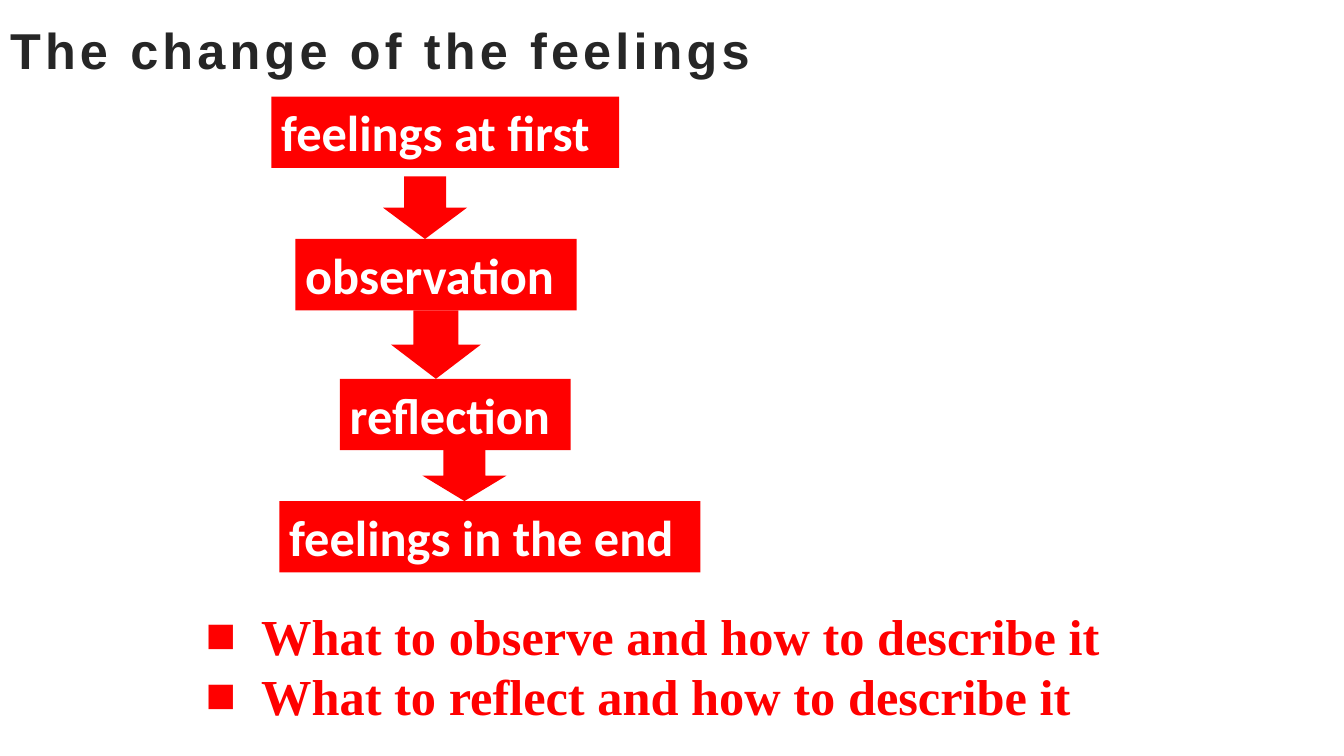
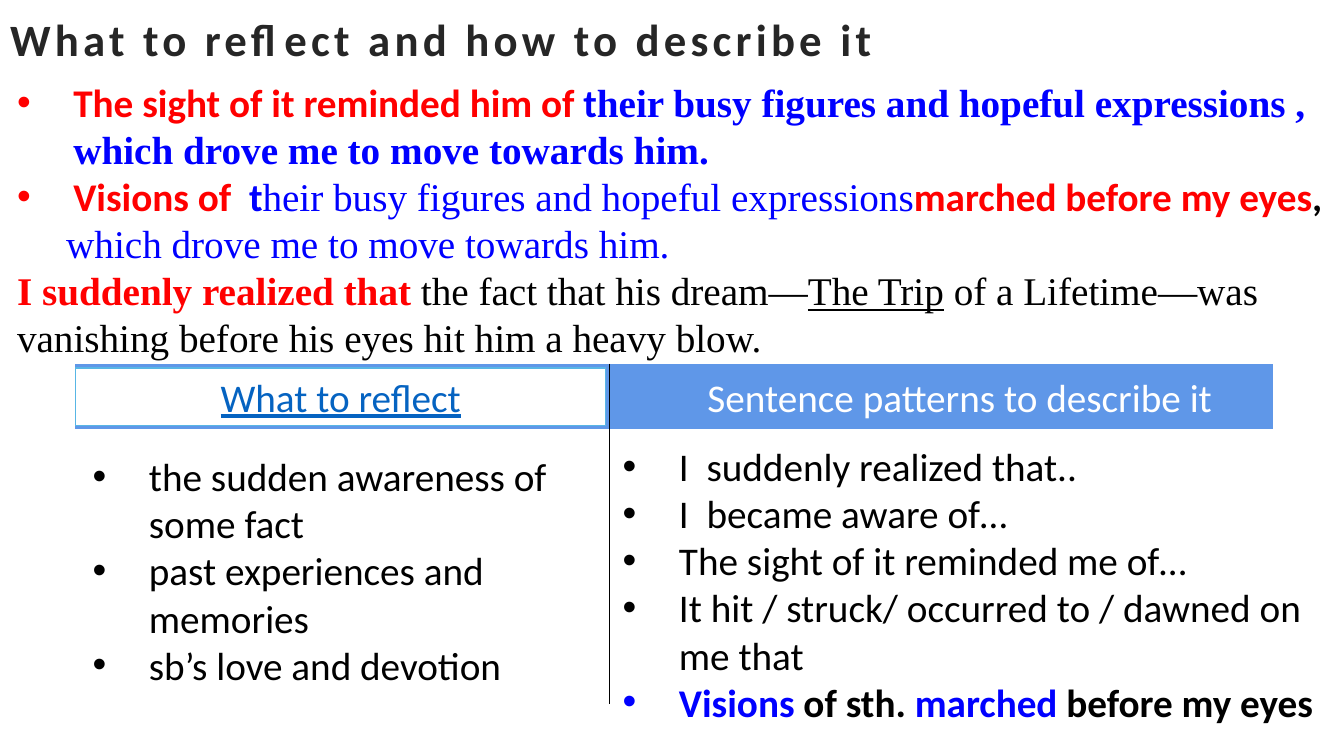
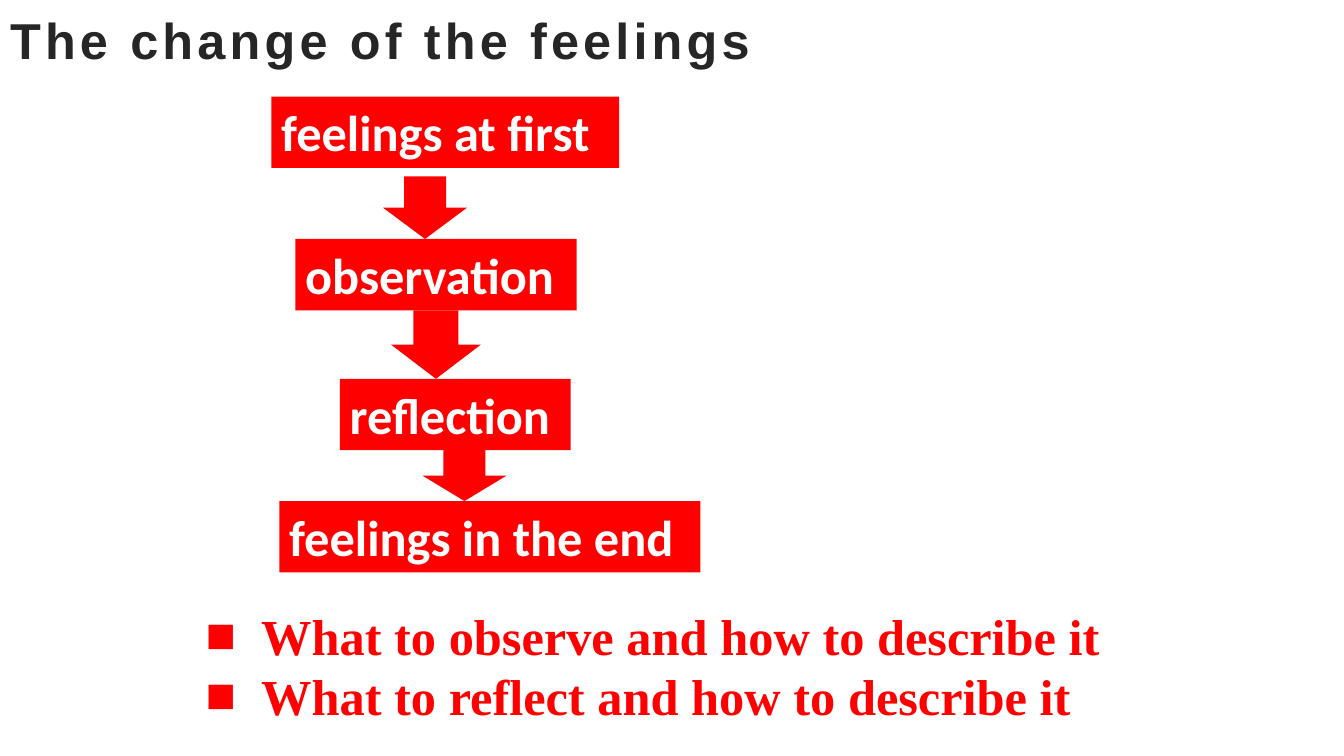
from collections import namedtuple

from lxml import etree
from pptx import Presentation
from pptx.dml.color import RGBColor
from pptx.enum.shapes import MSO_SHAPE
from pptx.enum.text import MSO_ANCHOR, MSO_AUTO_SIZE, PP_ALIGN
from pptx.oxml.ns import qn
from pptx.util import Inches, Pt

RECTANGLE, DOWN_ARROW = MSO_SHAPE.RECTANGLE, MSO_SHAPE.DOWN_ARROW
LEFT, CENTER, RIGHT = PP_ALIGN.LEFT, PP_ALIGN.CENTER, PP_ALIGN.RIGHT
TOP, MIDDLE = MSO_ANCHOR.TOP, MSO_ANCHOR.MIDDLE
NO_AUTOFIT = MSO_AUTO_SIZE.NONE

COLORS = {
    "title": "262626", "red": "FF0000", "blue": "0000FF", "black": "000000",
    "white": "FFFFFF", "header": "5F97E8", "frame": "58B6E5", "link": "0563C1",
}
ARIAL, CALIBRI, TIMES = "Arial", "Calibri", "Times New Roman"
COLUMNS, ROWS = 32, 18
NO_TABLE_STYLE = "{2D5ABB26-0587-4C30-8999-92F81FD0307C}"
HANGING = 1.34

Run = namedtuple("Run", "text font color bold underline", defaults=(CALIBRI, "black", False, False))
# indent and first are in grid columns
Para = namedtuple("Para", "runs bullet indent first", defaults=("", 0, 0))


def bulleted(*runs):
    return Para(runs, "•", HANGING, -HANGING)


def rgb(color):
    return RGBColor.from_string(COLORS[color])


class Deck:
    """Style of the deck and the slide being filled; lengths are grid columns and rows."""

    def __init__(self):
        self.prs = Presentation()
        self.prs.slide_width, self.prs.slide_height = Inches(13.33), Inches(7.5)
        self.slide = None

    def x(self, columns):
        return round(self.prs.slide_width * columns / COLUMNS)

    def y(self, rows):
        return round(self.prs.slide_height * rows / ROWS)

    def box(self, left, top, width, height):
        return self.x(left), self.y(top), self.x(width), self.y(height)

    def start(self, heading, font, size, top=0):
        self.slide = self.prs.slides.add_slide(self.prs.slide_layouts[5])
        title = self.slide.shapes.title
        title.left, title.top, title.width, title.height = self.box(0, top, 28.8, 1.85)
        self.set_text(title, [Para([Run(heading, font, "title", True)])], size, anchor=MIDDLE)
        for run in title.text_frame.paragraphs[0].runs:
            run.font._element.set("spc", "300")

    def set_text(self, shape, paras, size, align=LEFT, anchor=TOP):
        frame = shape.text_frame
        frame.word_wrap, frame.auto_size, frame.vertical_anchor = True, NO_AUTOFIT, anchor
        for index, para in enumerate(paras):
            paragraph = frame.add_paragraph() if index else frame.paragraphs[0]
            properties = paragraph._p.get_or_add_pPr()
            properties.set("marL", str(self.x(para.indent)))
            properties.set("indent", str(self.x(para.first)))
            if para.bullet:
                etree.SubElement(properties, qn("a:buFont")).set("typeface", ARIAL)
                etree.SubElement(properties, qn("a:buChar")).set("char", para.bullet)
            paragraph.alignment = align
            for part in para.runs:
                run = paragraph.add_run()
                run.text = part.text
                run.font.name, run.font.size = part.font, Pt(size)
                run.font.bold, run.font.underline = part.bold, part.underline
                run.font.color.rgb = rgb(part.color)

    def text(self, place, paras, size=28, align=LEFT):
        self.set_text(self.slide.shapes.add_textbox(*self.box(*place)), paras, size, align)

    def shape(self, kind, place, fill, line=None):
        shape = self.slide.shapes.add_shape(kind, *self.box(*place))
        shape.shadow.inherit = False
        shape.fill.solid()
        shape.fill.fore_color.rgb = rgb(fill)
        if line:
            shape.line.color.rgb, shape.line.width = rgb(line), Pt(1)
        else:
            shape.line.fill.background()
        return shape

    def two_column_table(self, left, top, widths, heights):
        place = self.box(left, top, sum(widths), sum(heights))
        table = self.slide.shapes.add_table(len(heights), len(widths), *place).table
        table._tbl.tblPr.find(qn("a:tableStyleId")).text = NO_TABLE_STYLE
        for column, width in zip(table.columns, widths):
            column.width = self.x(width)
        for row, height, fill in zip(table.rows, heights, ("header", "white")):
            row.height = self.y(height)
            for cell, side in zip(row.cells, ("a:lnR", "a:lnL")):
                cell.fill.solid()
                cell.fill.fore_color.rgb = rgb(fill)
                self.divider(cell, side)

    def divider(self, cell, side):
        line = etree.Element(qn(side), w=str(Pt(1)))
        solid = etree.SubElement(line, qn("a:solidFill"))
        etree.SubElement(solid, qn("a:srgbClr")).set("val", COLORS["black"])
        cell._tc.get_or_add_tcPr().insert(0, line)


# Flow of feelings: label, left, top, width
STEP_HEIGHT = 1.7
STEPS = [
    ("feelings at first", 6.46, 2.3, 8.28),
    ("observation", 7.03, 5.69, 6.7),
    ("reflection", 8.09, 9.02, 5.5),
    ("feelings in the end", 6.65, 11.93, 10.03),
]
# Arrow under each step: left, width, gap below the step
ARROWS = [(9.12, 2, 0.2), (9.31, 2.14, 0), (10.06, 2, 0)]
QUESTIONS = ["What to observe and how to describe it", "What to reflect and how to describe it"]


def feelings_slide(deck, title_top):
    deck.start("The change of the feelings", ARIAL, 36, title_top)
    for label, left, top, width in STEPS:
        step = deck.shape(RECTANGLE, (left, top, width, STEP_HEIGHT), "red")
        deck.set_text(step, [Para([Run(label, CALIBRI, "white", True)])], 36)
    for (left, width, gap), step, following in zip(ARROWS, STEPS, STEPS[1:]):
        top = step[2] + STEP_HEIGHT + gap
        deck.shape(DOWN_ARROW, (left, top, width, following[2] - top), "red")
    questions = [Para([Run(question, TIMES, "red", True)], "■", 1.32, -1.32) for question in QUESTIONS]
    deck.text((4.66, 14.28, 22.13, 3.14), questions, 36)


def reflection_slide(deck):
    deck.start(QUESTIONS[1], CALIBRI, 32)

    # Table behind the two lists
    deck.two_column_table(1.78, 8.66, (12.74, 15.79), (1.56, 6.55))

    # Model sentences
    deck.text((0.17, 1.75, 31.82, 7.03), [
        bulleted(
            Run("The sight of it reminded him of ", CALIBRI, "red", True),
            Run("t", CALIBRI, "blue", True),
            Run("heir busy figures and hopeful expressions , which drove me to move towards him.",
                TIMES, "blue", True)),
        bulleted(
            Run("Visions of  ", CALIBRI, "red", True),
            Run("t", CALIBRI, "blue", True),
            Run("heir busy figures and hopeful expressions", TIMES, "blue"),
            Run("marched before my eyes", CALIBRI, "red", True),
            Run(",", CALIBRI, "black", True)),
        Para([Run("which drove me to move towards him.", TIMES, "blue")], indent=1.17),
        Para([
            Run("I suddenly realized that", TIMES, "red", True),
            Run(" the fact that his dream—", TIMES),
            Run("The Trip", TIMES, underline=True),
            Run(" of a Lifetime—was vanishing before his eyes hit him a heavy blow.", TIMES)]),
    ])

    # What to reflect
    topics = ["the sudden awareness of some fact", "past experiences and memories",
              "sb’s love and devotion"]
    deck.text((1.97, 10.66, 12.55, 7.03), [bulleted(Run(topic)) for topic in topics])
    topics_header = deck.shape(RECTANGLE, (1.8, 8.76, 12.62, 1.37), "white", "frame")
    deck.set_text(topics_header, [Para([Run("What to reflect", CALIBRI, "link", underline=True)])],
                  28, CENTER)

    # Sentence patterns
    deck.text((14.4, 8.76, 14.69, 1.37),
              [Para([Run("Sentence patterns to describe it", CALIBRI, "white")])], align=RIGHT)
    patterns = ["I  suddenly realized that..", "I  became aware of…",
                "The sight of it reminded me of…",
                "It hit / struck/ occurred to / dawned on me that"]
    visions = bulleted(
        Run("Visions", CALIBRI, "blue", True), Run(" of sth. ", CALIBRI, "black", True),
        Run("marched", CALIBRI, "blue", True), Run(" before my eyes", CALIBRI, "black", True))
    deck.text((14.59, 10.42, 17.23, 7.03),
              [bulleted(Run(pattern)) for pattern in patterns] + [visions])


def main():
    deck = Deck()
    feelings_slide(deck, 0.26)
    reflection_slide(deck)
    feelings_slide(deck, 0)
    deck.prs.save("out.pptx")


if __name__ == "__main__":
    main()
